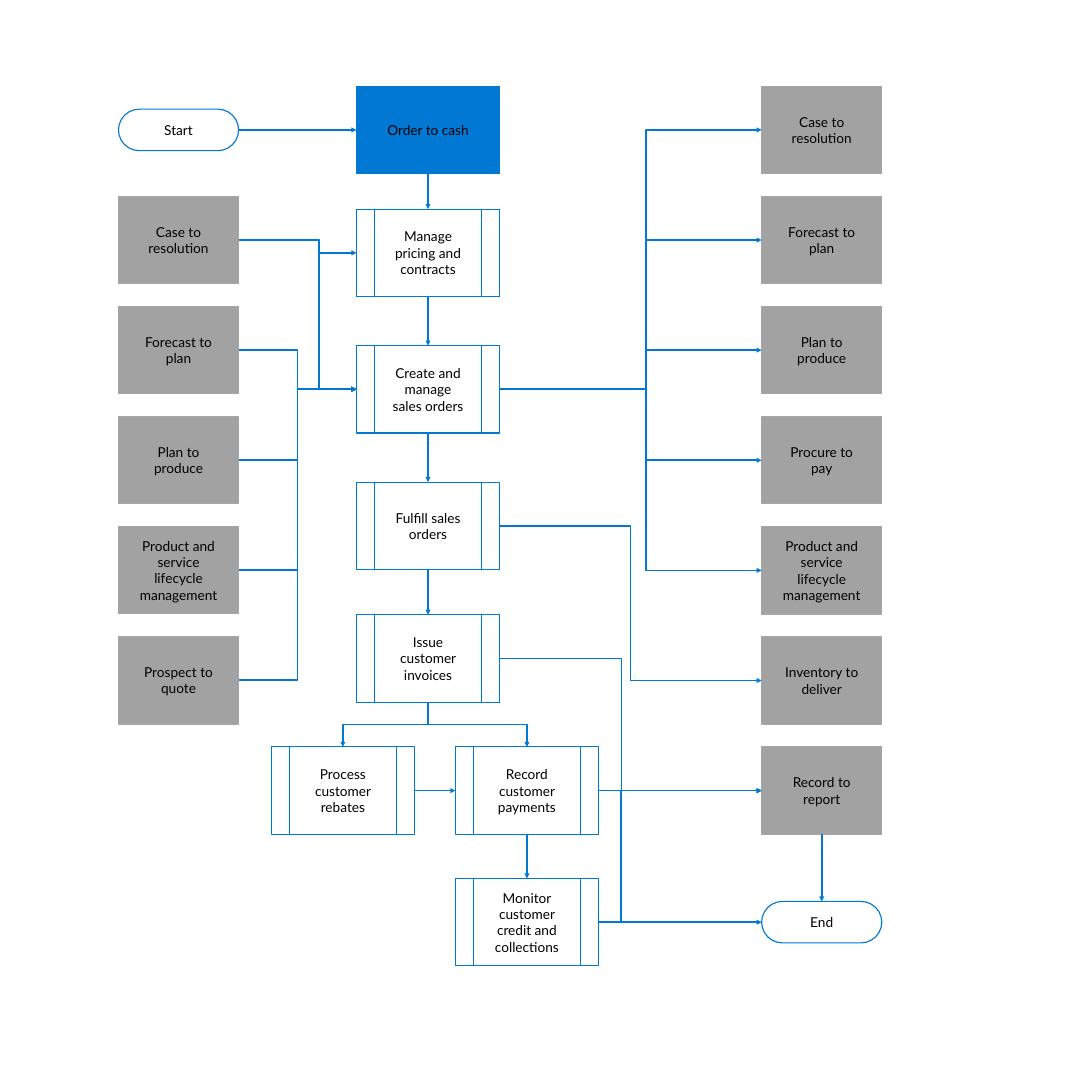
from dataclasses import dataclass
from itertools import pairwise
from typing import NamedTuple

from pptx import Presentation
from pptx.dml.color import RGBColor
from pptx.enum.shapes import MSO_CONNECTOR, MSO_SHAPE
from pptx.enum.text import MSO_ANCHOR, PP_ALIGN
from pptx.oxml.ns import qn
from pptx.oxml.xmlchemy import OxmlElement
from pptx.util import Inches, Pt


@dataclass(frozen=True)
class Theme:
    blue: RGBColor = RGBColor(0x00, 0x78, 0xD4)
    white: RGBColor = RGBColor(0xFF, 0xFF, 0xFF)
    black: RGBColor = RGBColor(0x00, 0x00, 0x00)
    gray: RGBColor = RGBColor(0xA2, 0xA2, 0xA2)
    gray_line: RGBColor = RGBColor(0xA6, 0xA6, 0xA6)
    font: str = "Lato"
    text_size: float = 18
    outline: float = 1.5
    flow_line: float = 2.25


class Box(NamedTuple):
    left: float
    top: float
    width: float
    height: float


THEME = Theme()
TOP, LEFT, BOTTOM, RIGHT = range(4)
NODE_HEIGHT = 1.6
TERMINAL_HEIGHT = 0.76

INBOUND_BOX = Box(2.17, 3.6, 2.2, 9.66)
OUTBOUND_BOX = Box(13.95, 1.58, 2.2, 13.7)
STEPS_BOX = Box(6.53, 1.58, 2.62, 11.28)
SETTLEMENT_BOX = Box(4.97, 13.68, 5.99, 4.01)
START_BOX = Box(2.17, 2, 2.2, TERMINAL_HEIGHT)
END_BOX = Box(13.95, 16.51, 2.2, TERMINAL_HEIGHT)

INBOUND = ["Case to resolution", "Forecast to plan", "Plan to produce",
           "Product and service lifecycle management", "Prospect to quote"]
OUTBOUND = ["Case to resolution", "Forecast to plan", "Plan to produce",
            "Procure to pay", "Product and service lifecycle management",
            "Inventory to deliver", "Record to report"]
STEPS = [("Manage pricing and contracts", 2.25),
         ("Create and manage sales orders", 4.75),
         ("Fulfill sales orders", 7.25),
         ("Issue customer invoices", 9.68)]


def write_text(shape, text, size=THEME.text_size, color=THEME.black,
               align=PP_ALIGN.CENTER):
    frame = shape.text_frame
    frame.word_wrap = True
    frame.vertical_anchor = MSO_ANCHOR.MIDDLE
    frame.margin_left = frame.margin_right = Inches(0.3)
    frame.margin_top = frame.margin_bottom = Inches(0.24)
    paragraph = frame.paragraphs[0]
    paragraph.alignment = align
    run = paragraph.add_run()
    run.text = text
    run.font.name = THEME.font
    run.font.size = Pt(size)
    run.font.color.rgb = color


def add_node(slide, box, text, kind=MSO_SHAPE.FLOWCHART_PREDEFINED_PROCESS,
             fill=THEME.white, line=THEME.blue):
    shape = slide.shapes.add_shape(kind, *map(Inches, box))
    shape.shadow.inherit = False
    if fill is None:
        shape.fill.background()
    else:
        shape.fill.solid()
        shape.fill.fore_color.rgb = fill
    shape.line.color.rgb = line
    shape.line.width = Pt(THEME.outline)
    write_text(shape, text)
    return shape


def draw_terminal(slide, box, text):
    shape = add_node(slide, box, text, MSO_SHAPE.ROUNDED_RECTANGLE, fill=None)
    shape.adjustments[0] = 0.5
    return shape


def draw_partners(slide, box, names):
    pitch = (box.height - NODE_HEIGHT) / (len(names) - 1)
    return {
        name: add_node(slide,
                       Box(box.left, box.top + row * pitch, box.width, NODE_HEIGHT),
                       name, MSO_SHAPE.RECTANGLE, THEME.gray, THEME.gray_line)
        for row, name in enumerate(names)
    }


def draw_steps(slide, box):
    heading = add_node(slide, box._replace(height=NODE_HEIGHT), "Order to cash",
                       MSO_SHAPE.RECTANGLE, THEME.blue)
    return [heading] + [
        add_node(slide, Box(box.left, box.top + offset, box.width, NODE_HEIGHT), name)
        for name, offset in STEPS
    ]


def draw_settlement(slide, box):
    width = STEPS_BOX.width
    right = box.left + box.width - width
    bottom = box.top + box.height - NODE_HEIGHT
    places = [("Process customer rebates", box.left, box.top),
              ("Record customer payments", right, box.top),
              ("Monitor customer credit and collections", right, bottom)]
    return [add_node(slide, Box(left, top, width, NODE_HEIGHT), name)
            for name, left, top in places]


def side_point(shape, side):
    horizontal = {LEFT: 0, RIGHT: shape.width}.get(side, shape.width // 2)
    vertical = {TOP: 0, BOTTOM: shape.height}.get(side, shape.height // 2)
    return shape.left + horizontal, shape.top + vertical


def add_arrow(slide, kind, begin, end):
    connector = slide.shapes.add_connector(kind, *begin, *end)
    connector.line.color.rgb = THEME.blue
    connector.line.width = Pt(THEME.flow_line)
    properties = connector.element.spPr
    head = OxmlElement("a:tailEnd")
    head.set("type", "triangle")
    properties.find(qn("a:ln")).append(head)
    properties.append(OxmlElement("a:effectLst"))
    return connector


def join_straight(slide, source, target, begin_side, end_side):
    connector = add_arrow(slide, MSO_CONNECTOR.STRAIGHT,
                          side_point(source, begin_side), side_point(target, end_side))
    connector.begin_connect(source, begin_side)
    connector.end_connect(target, end_side)


def join_bent(slide, source, target, bend):
    begin, end = side_point(source, RIGHT), side_point(target, LEFT)
    connector = add_arrow(slide, MSO_CONNECTOR.ELBOW, begin, end)
    guide = OxmlElement("a:gd")
    guide.set("name", "adj1")
    ratio = (Inches(bend) - begin[0]) / (end[0] - begin[0])
    guide.set("fmla", f"val {round(ratio * 100000)}")
    connector.element.spPr.find(qn("a:prstGeom")).find(qn("a:avLst")).append(guide)


def join_fork(slide, source, target):
    begin, end = side_point(source, BOTTOM), side_point(target, TOP)
    center_x, center_y = (begin[0] + end[0]) // 2, (begin[1] + end[1]) // 2
    direction = 1 if end[0] > begin[0] else -1
    reach = direction * (end[1] - begin[1]) // 2
    spread = abs(end[0] - begin[0]) // 2
    connector = add_arrow(slide, MSO_CONNECTOR.ELBOW,
                          (center_x + reach, center_y - spread),
                          (center_x - reach, center_y + spread))
    degrees = 270 if direction > 0 else 90
    connector.element.spPr.find(qn("a:xfrm")).set("rot", str(degrees * 60000))


def draw_flow(slide, start, end, inbound, outbound, steps, settlement):
    heading, pricing, orders, fulfillment, invoices = steps
    rebates, payments, credit = settlement
    report = outbound["Record to report"]

    for upper, lower in [*pairwise(steps), (payments, credit), (report, end)]:
        join_straight(slide, upper, lower, BOTTOM, TOP)
    for source, target in [(start, heading), (rebates, payments),
                           (payments, report), (credit, end)]:
        join_straight(slide, source, target, RIGHT, LEFT)
    for target in (rebates, payments):
        join_fork(slide, invoices, target)

    case, *suppliers = inbound.values()
    for target in (pricing, orders):
        join_bent(slide, case, target, 5.85)
    for supplier in suppliers:
        join_bent(slide, supplier, orders, 5.45)
    for name in OUTBOUND[:5]:
        join_bent(slide, orders, outbound[name], 11.83)
    join_bent(slide, fulfillment, outbound["Inventory to deliver"], 11.55)
    for source in (invoices, credit):
        join_bent(slide, source, report, 11.38)


def main():
    presentation = Presentation()
    presentation.slide_width = presentation.slide_height = Inches(20)
    slide = presentation.slides.add_slide(presentation.slide_layouts[6])
    start = draw_terminal(slide, START_BOX, "Start")
    end = draw_terminal(slide, END_BOX, "End")
    inbound = draw_partners(slide, INBOUND_BOX, INBOUND)
    outbound = draw_partners(slide, OUTBOUND_BOX, OUTBOUND)
    steps = draw_steps(slide, STEPS_BOX)
    settlement = draw_settlement(slide, SETTLEMENT_BOX)
    draw_flow(slide, start, end, inbound, outbound, steps, settlement)
    presentation.save("out.pptx")


if __name__ == "__main__":
    main()
